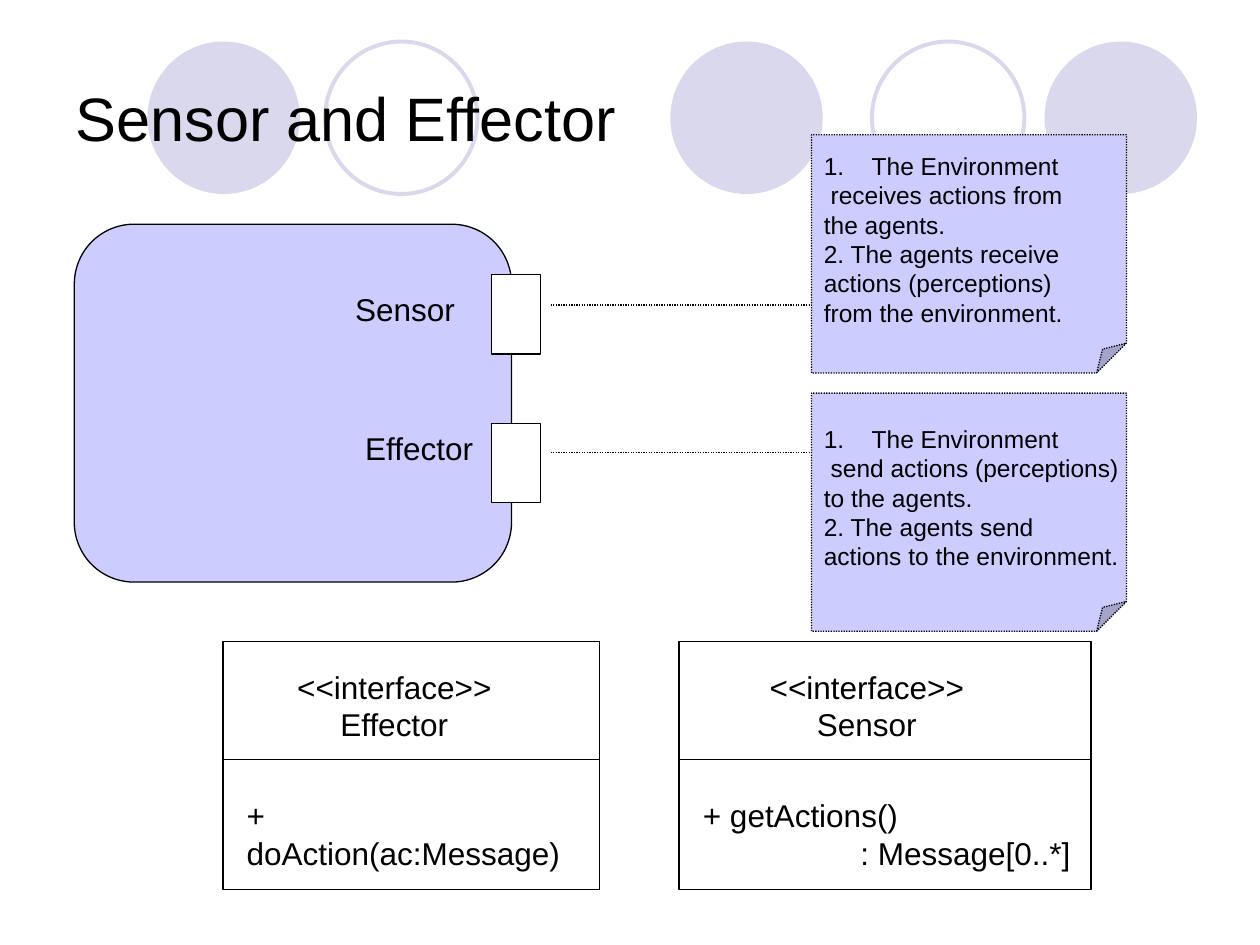
from lxml import etree
from pptx import Presentation
from pptx import util as u
from pptx.dml.color import RGBColor
from pptx.enum import dml, shapes, text
from pptx.oxml.ns import qn

WIDTH, HEIGHT = 10, 7.5
BLACK, WHITE, LILAC, PALE = "000000", "FFFFFF", "CCCCFF", "D9D8EC"
KIND = shapes.MSO_SHAPE
ALIGN = text.PP_ALIGN

CIRCLES = [(5.32, True), (8.29, True), (1.17, True), (6.92, False), (2.58, False)]
INTERFACES = [
    {"name": "Effector", "left": 1.77, "width": 2.99, "head": 2.26,
     "operation": ["+ doAction(ac:Message)"]},
    {"name": "Sensor", "left": 5.39, "width": 3.27, "head": 6.01,
     "operation": ["+ getActions()", ": Message[0..*]"]},
]
PORTS = [
    {"name": "Sensor", "label": (2.72, 2.25), "top": 2.18, "line": 2.42, "note": 1.07,
     "text": ["The Environment", " receives actions from", "the agents.",
              "2. The agents receive", "actions (perceptions)", "from the environment."]},
    {"name": "Effector", "label": (2.8, 3.36), "top": 3.36, "line": 3.59, "note": 3.12,
     "text": ["The Environment", " send actions (perceptions)", "to the agents.",
              "2. The agents send", "actions to the environment."]},
]


def color(value):
    return RGBColor.from_string(value)


def inches(*lengths):
    return [u.Inches(length) for length in lengths]


def style_line(line, value, width=0.75, dotted=False):
    line.color.rgb = color(value)
    line.width = u.Pt(width)
    if dotted:
        line.dash_style = dml.MSO_LINE.ROUND_DOT


def add_shape(slide, kind, box, fill=None, line=None, width=0.75, dotted=False):
    shape = slide.shapes.add_shape(kind, *inches(*box))
    shape.shadow.inherit = False
    if fill:
        shape.fill.solid()
        shape.fill.fore_color.rgb = color(fill)
    else:
        shape.fill.background()
    if line:
        style_line(shape.line, line, width, dotted)
    else:
        shape.line.fill.background()
    return shape


def add_line(slide, left, right, top, dotted=False):
    line = slide.shapes.add_connector(
        shapes.MSO_CONNECTOR.STRAIGHT, *inches(left, top, right, top))
    style_line(line.line, BLACK, dotted=dotted)
    etree.SubElement(line.element.spPr, qn("a:effectLst"))


def set_text(shape, lines, size, align=ALIGN.LEFT, wrap=False):
    frame = shape.text_frame
    frame.word_wrap = wrap
    frame.text = "\n".join(lines)
    for paragraph in frame.paragraphs:
        paragraph.alignment = align
        for run in paragraph.runs:
            run.font.name = "Arial"
            run.font.size = u.Pt(size)
            run.font.color.rgb = color(BLACK)
    return frame


def add_text(slide, box, lines, align=ALIGN.LEFT, wrap=False):
    return set_text(slide.shapes.add_textbox(*inches(*box)), lines, 18, align, wrap)


def indent(paragraph, left, first=0.0):
    properties = paragraph._p.get_or_add_pPr()
    properties.set("marL", str(u.Inches(left)))
    properties.set("indent", str(u.Inches(first)))
    return properties


def add_interface(slide, item):
    left, width = item["left"], item["width"]
    add_shape(slide, KIND.RECTANGLE, (left, 5.09, width, 1.97), WHITE, BLACK)
    add_text(slide, (item["head"], 5.25, 1.74, 0.7),
             ["<<interface>>", item["name"]], ALIGN.CENTER)
    add_line(slide, left, left + width, 6.03)
    lines = item["operation"]
    frame = add_text(slide, (left + 0.09, 6.27, width - 0.12, 0.1 + 0.3 * len(lines)), lines)
    for paragraph in frame.paragraphs[1:]:
        indent(paragraph, 1.25)


def add_note(slide, port):
    add_line(slide, 4.37, 6.44, port["line"], dotted=True)
    note = add_shape(slide, KIND.FOLDED_CORNER, (6.44, port["note"], 2.5, 1.89),
                     LILAC, BLACK, dotted=True)
    fold = note.element.spPr.find(qn("a:prstGeom")).find(qn("a:avLst"))
    etree.SubElement(fold, qn("a:gd"), name="adj", fmla="val 12500")
    frame = set_text(note, port["text"], 14, ALIGN.JUSTIFY)
    frame.vertical_anchor = text.MSO_ANCHOR.MIDDLE
    for number, paragraph in enumerate(frame.paragraphs):
        properties = indent(paragraph, 0.38, -0.38)
        if number == 0:
            etree.SubElement(properties, qn("a:buAutoNum"), type="arabicPeriod")


def main():
    presentation = Presentation()
    presentation.slide_width, presentation.slide_height = inches(WIDTH, HEIGHT)
    slide = presentation.slides.add_slide(presentation.slide_layouts[5])

    for left, solid in CIRCLES:
        add_shape(slide, KIND.OVAL, (left, 0.33, 1.21, 1.21),
                  PALE if solid else None, None if solid else PALE, 2.25)
    for item in INTERFACES:
        add_interface(slide, item)

    title = slide.shapes.title
    title.left, title.top, title.width, title.height = inches(0.5, 0.3, 9, 1.25)
    set_text(title, ["Sensor and Effector"], 35, wrap=True)
    title.text_frame.vertical_anchor = text.MSO_ANCHOR.MIDDLE
    title.element.getparent().append(title.element)

    agent = add_shape(slide, KIND.ROUNDED_RECTANGLE, (0.59, 1.78, 3.47, 2.84), LILAC, BLACK)
    agent.adjustments[0] = 0.167
    for port in PORTS:
        add_shape(slide, KIND.RECTANGLE, (3.9, port["top"], 0.39, 0.63), WHITE, BLACK)
        add_text(slide, (*port["label"], 1.1, 0.4), [port["name"]], wrap=True)
        add_note(slide, port)

    presentation.save("out.pptx")


if __name__ == "__main__":
    main()
